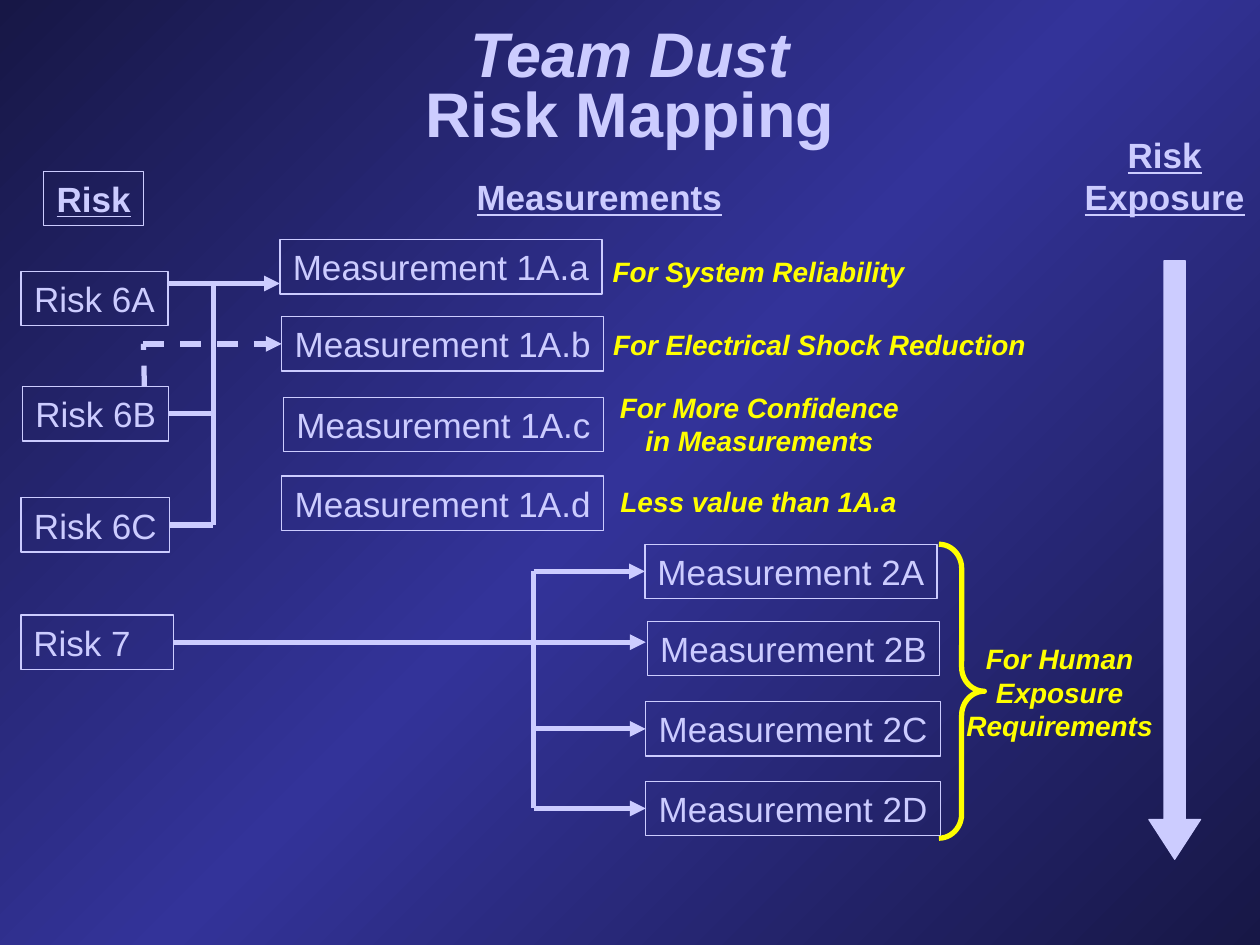
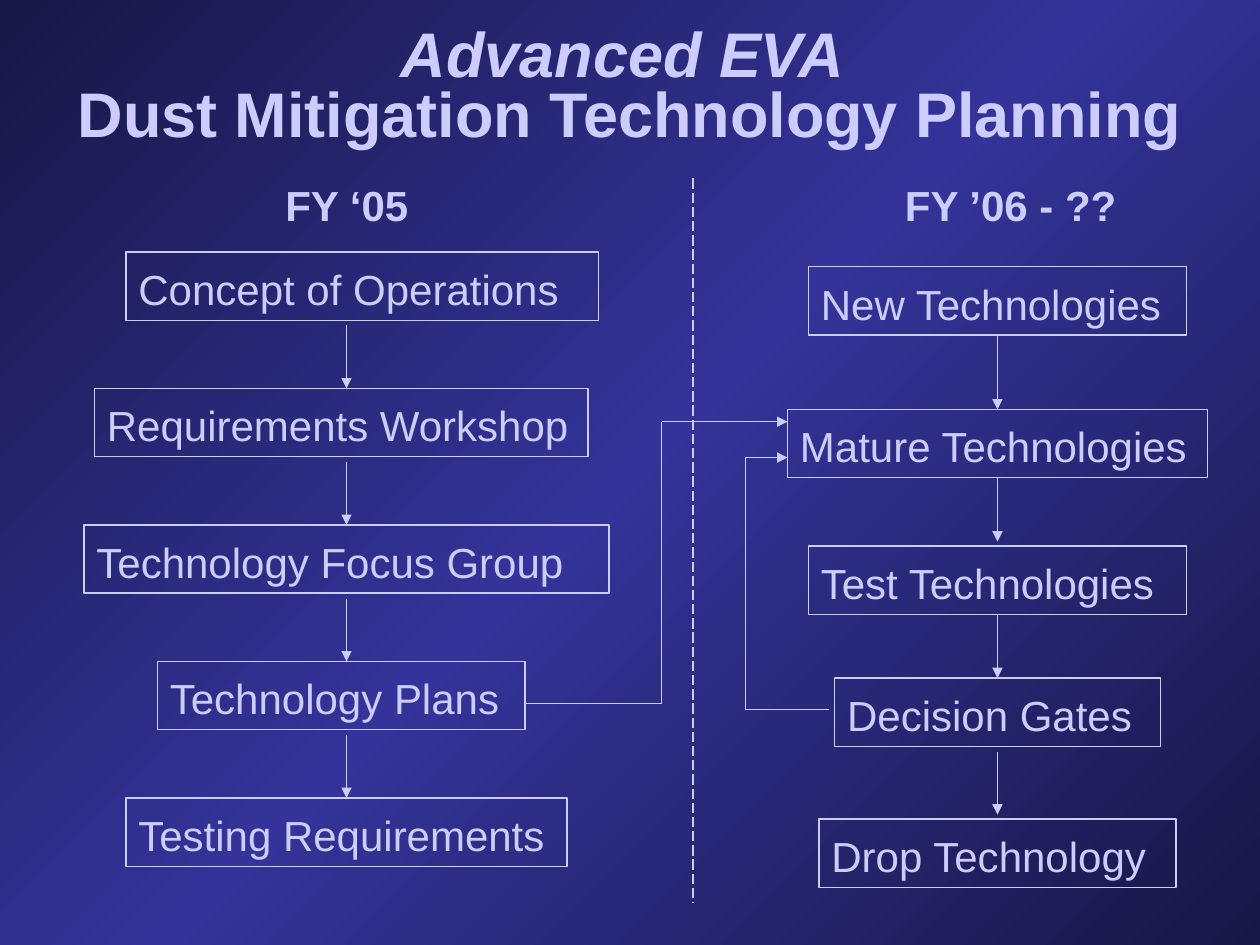
"""Builds the two dust risk and technology planning slides."""
from collections import namedtuple
from copy import deepcopy
from itertools import pairwise

from lxml import etree
from pptx import Presentation
from pptx.dml.color import RGBColor
from pptx.enum.dml import MSO_LINE
from pptx.enum.shapes import MSO_CONNECTOR, MSO_SHAPE
from pptx.enum.text import MSO_ANCHOR, PP_ALIGN
from pptx.oxml.ns import qn
from pptx.util import Pt

RECTANGLE = MSO_SHAPE.RECTANGLE
DOWN_ARROW = MSO_SHAPE.DOWN_ARROW
RIGHT_BRACE = MSO_SHAPE.RIGHT_BRACE
STRAIGHT = MSO_CONNECTOR.STRAIGHT
DASH, LONG_DASH = MSO_LINE.DASH, MSO_LINE.LONG_DASH
TOP, MIDDLE = MSO_ANCHOR.TOP, MSO_ANCHOR.MIDDLE
LEFT, CENTER = PP_ALIGN.LEFT, PP_ALIGN.CENTER
TOP_SIDE, LEFT_SIDE, BOTTOM_SIDE, RIGHT_SIDE = range(4)

COLORS = {"edge": "171746", "glow": "333399", "ink": "CCCCFF", "note": "FFFF00"}
FONT = "Arial"
WIDTH, HEIGHT = 720, 540
BOX_HEIGHT, STEP_HEIGHT = 31, 39
THICK, THIN = 3, 0.75

Area = namedtuple("Area", "left top width height")


def rgb(name):
    """Return a named colour."""
    return RGBColor.from_string(COLORS[name])


def place(area, x, y, width, height):
    """Return the lengths of a part offset from the corner of an area."""
    return [Pt(v) for v in (area.left + x, area.top + y, width, height)]


def style_font(font, size, color="ink", bold=False, italic=False, underline=False):
    """Set the shared typeface and the given look."""
    font.name, font.size, font.color.rgb = FONT, Pt(size), rgb(color)
    font.bold, font.italic, font.underline = bold, italic, underline


def add_shape(page, kind, bounds, color="ink", weight=THIN, filled=False):
    """Add a flat outlined preset shape."""
    shape = page.shapes.add_shape(kind, *bounds)
    shape.shadow.inherit = False
    shape.line.color.rgb, shape.line.width = rgb(color), Pt(weight)
    if filled:
        shape.fill.solid()
        shape.fill.fore_color.rgb = rgb(color)
    else:
        shape.fill.background()
    return shape


def add_text(page, bounds, text, size, align=CENTER, spacing=1.0, framed=False, **look):
    """Add one paragraph per line of text, framed or bare."""
    box = add_shape(page, RECTANGLE, bounds) if framed else page.shapes.add_textbox(*bounds)
    frame = box.text_frame
    frame.word_wrap = align == LEFT
    frame.vertical_anchor = TOP
    frame.text = text
    for para in frame.paragraphs:
        para.alignment, para.line_spacing = align, spacing
        style_font(para.font, size, **look)
    return box


def add_line(page, start, end, weight, dash=None, arrow=False):
    """Join two ends, each a point or a pair of box and side."""
    joints = [spot if hasattr(spot[0], "shape_id") else None for spot in (start, end)]
    points = [(0, 0) if joint else spot for joint, spot in zip(joints, (start, end))]
    line = page.shapes.add_connector(STRAIGHT, *[Pt(v) for point in points for v in point])
    if joints[0]:
        line.begin_connect(*joints[0])
    if joints[1]:
        line.end_connect(*joints[1])
    line.line.color.rgb, line.line.width = rgb("ink"), Pt(weight)
    if dash:
        line.line.dash_style = dash
    outline = line.line._get_or_add_ln()
    if arrow:
        etree.SubElement(outline, qn("a:tailEnd"), type="triangle")
    outline.addnext(etree.Element(qn("a:effectLst")))
    return line


def add_route(page, points, weight):
    """Draw a bent route whose last leg carries an arrowhead."""
    legs = list(pairwise(points))
    for leg in legs:
        add_line(page, *leg, weight, arrow=leg is legs[-1])


def middle(box):
    """Return the height of a box's centre in points."""
    return (box.top + box.height / 2) / Pt(1)


def add_page(deck, first, second):
    """Add a page with the diagonal gradient and a two-line title."""
    page = deck.slides.add_slide(deck.slide_layouts[6])
    fill = page.background.fill
    fill.gradient()
    fill.gradient_angle = 135
    stops = page.element.find(".//" + qn("a:gsLst"))
    stops.append(deepcopy(stops[0]))
    for stop, name, position in zip(fill.gradient_stops, ("edge", "glow", "edge"), (0, 0.5, 1)):
        stop.color.rgb, stop.position = rgb(name), position
    box = page.shapes.add_textbox(Pt(0), Pt(24), Pt(WIDTH), Pt(54))
    frame = box.text_frame
    frame.word_wrap, frame.vertical_anchor = True, MIDDLE
    para = frame.paragraphs[0]
    para.alignment, para.line_spacing = CENTER, 0.8
    style_font(para.font, 36, bold=True)
    span = para.add_run()
    span.text, span.font.italic = first, True
    style_font(span.font, 36, bold=True, italic=True)
    para.add_line_break()
    span = para.add_run()
    span.text = second
    style_font(span.font, 36, bold=True)
    return page


def add_heading(page, area, x, y, width, text, height=BOX_HEIGHT, framed=False):
    """Add an underlined heading of the risk map."""
    add_text(page, place(area, x, y, width, height), text, 20,
             framed=framed, bold=True, underline=True)


def add_boxes(page, area, rows):
    """Add framed labels and return them by name."""
    return {text: add_text(page, place(area, x, y, width, BOX_HEIGHT), text, 20,
                           align=LEFT if text == "Risk 7" else CENTER, framed=True)
            for text, x, y, width in rows}


def add_notes(page, area, rows):
    """Add the yellow remarks."""
    for text, x, y, width, height in rows:
        add_text(page, place(area, x, y, width, height), text, 16,
                 color="note", bold=True, italic=True)


def add_risks(page, area):
    """Add the risk column."""
    add_heading(page, area, 13, 0, 57, "Risk", framed=True)
    return add_boxes(page, area, [("Risk 6A", 0, 57, 84), ("Risk 6B", 1, 123, 83.5),
                                  ("Risk 6C", 0, 186.5, 85), ("Risk 7", 0, 253.5, 87)])


def add_first_measurements(page, area):
    """Add the first measurement group with its remarks."""
    add_heading(page, area, 105, 0, 155, "Measurements")
    add_notes(page, area, [
        ("For System Reliability", 183, 45, 181, 26),
        ("For Electrical Shock Reduction", 183, 86.5, 250.5, 26),
        ("For More Confidence\nin Measurements", 187, 122.5, 174, 45),
        ("Less value than 1A.a", 187, 176.5, 173, 26)])
    return add_boxes(page, area, [
        ("Measurement 1A.a", 0, 40, 184), ("Measurement 1A.b", 1, 84, 184),
        ("Measurement 1A.c", 2, 130, 183), ("Measurement 1A.d", 1, 175, 184)])


def add_second_measurements(page, area):
    """Add the second measurement group, its brace and remark."""
    brace = add_shape(page, RIGHT_BRACE, place(area, 168, 0, 26, area.height), "note", THICK)
    brace.adjustments[0] = 0.53
    add_notes(page, area, [("For Human\nExposure\nRequirements", 176.5, 52, 121, 65)])
    return add_boxes(page, area, [
        ("Measurement 2A", 0, 0, 167), ("Measurement 2B", 1.5, 44, 167),
        ("Measurement 2C", 0.5, 90, 168.5), ("Measurement 2D", 0.5, 135.5, 168.5)])


def add_exposure(page, area):
    """Add the exposure heading and its long arrow."""
    add_heading(page, area, 0, 0, area.width, "Risk\nExposure", height=55)
    arrow = add_shape(page, DOWN_ARROW, place(area, 44, 76, 29.5, 342), filled=True)
    arrow.adjustments[0], arrow.adjustments[1] = 0.41, 0.77


def link_first_group(page, risks, measures):
    """Link risks 6A to 6C with the first measurements."""
    trunk, entry, branch = 122, 162, 82
    target = measures["Measurement 1A.b"]
    add_line(page, (96, entry), (160, entry), THICK, arrow=True)
    add_line(page, (trunk, middle(risks["Risk 6C"])), (trunk, entry), THICK)
    for name in ("Risk 6B", "Risk 6C"):
        add_line(page, (risks[name], RIGHT_SIDE), (trunk, middle(risks[name])), THICK)
    add_line(page, (branch, middle(target)), (target, LEFT_SIDE), THICK, DASH, arrow=True)
    add_line(page, (branch + 0.5, 221), (branch, middle(target)), THICK, DASH)


def link_second_group(page, risk, measures):
    """Link risk 7 with the second measurements."""
    trunk = 305
    targets = [measures["Measurement 2" + letter] for letter in "ACD"]
    add_line(page, (risk, RIGHT_SIDE), (369, middle(risk)), THICK, arrow=True)
    for target in targets:
        add_line(page, (trunk, middle(target)), (target, LEFT_SIDE), THICK, arrow=True)
    add_line(page, (trunk, middle(targets[-1])), (trunk, middle(targets[0])), THICK)


def add_flow(page, area, heading, heading_x, heading_width, steps):
    """Add a column of steps; each row ends with the gaps around the arrow below it."""
    add_text(page, place(area, heading_x, 0, heading_width, STEP_HEIGHT), heading, 24,
             align=LEFT, spacing=1.1, bold=True)
    axis = area.left + area.width / 2
    boxes = [add_text(page, place(area, x, y, width, STEP_HEIGHT), text, 24,
                      align=LEFT, spacing=1.1, framed=True)
             for text, x, y, width, _, _ in steps]
    for (upper, lower), (*_, leave, arrive) in zip(pairwise(boxes), steps):
        ends = []
        for box, side, gap, edge in ((upper, BOTTOM_SIDE, leave, upper.top + upper.height),
                                     (lower, TOP_SIDE, -arrive, lower.top)):
            centred = box.left + box.width // 2 == Pt(axis)
            ends.append((box, side) if centred and not gap else (axis, edge / Pt(1) + gap))
        add_line(page, *ends, THIN, arrow=True)


def build_risk_map(deck):
    """Build the risk mapping page."""
    page = add_page(deck, "Team Dust", "Risk Mapping")
    risks = add_risks(page, Area(12, 98, 87, 285))
    first = add_first_measurements(page, Area(160, 97, 434, 206))
    second = add_second_measurements(page, Area(368.5, 311, 298, 168))
    add_exposure(page, Area(612.5, 73, 106, 418))
    link_first_group(page, risks, first)
    link_second_group(page, risks["Risk 7"], second)


def build_planning(deck):
    """Build the technology planning page."""
    page = add_page(deck, "Advanced EVA ", "Dust Mitigation Technology Planning")
    plan = [("Concept of Operations", 24, 270), ("Requirements Workshop", 6, 282),
            ("Technology Focus Group", 0, 300), ("Technology Plans", 42, 210),
            ("Testing Requirements", 24, 252)]
    add_flow(page, Area(48, 96, 300, 399), "FY ‘05", 108, 108,
             [(text, x, 48 + 78 * row, width, 3, 0) for row, (text, x, width) in enumerate(plan)])
    add_flow(page, Area(450, 96, 240, 411), "FY ’06 - ??", 60, 162, [
        ("New Technologies", 12, 56.5, 216, 0, 0),
        ("Mature Technologies", 0, 138, 240, 0, 2.5),
        ("Test Technologies", 12, 216, 216, 0, 0),
        ("Decision Gates", 27, 291.5, 186, 3, 2.5),
        ("Drop Technology", 18, 372, 204, 0, 0)])
    add_line(page, (396, 102), (396, 516), THIN, LONG_DASH)
    add_route(page, [(474, 405.5), (426, 405.5), (426, 261.5), (450, 261.5)], THIN)
    add_route(page, [(300, 402), (378, 402), (378, 241), (450, 241)], THIN)


def main():
    """Build and save the deck."""
    deck = Presentation()
    deck.slide_width, deck.slide_height = Pt(WIDTH), Pt(HEIGHT)
    build_risk_map(deck)
    build_planning(deck)
    deck.save("out.pptx")


if __name__ == "__main__":
    main()
